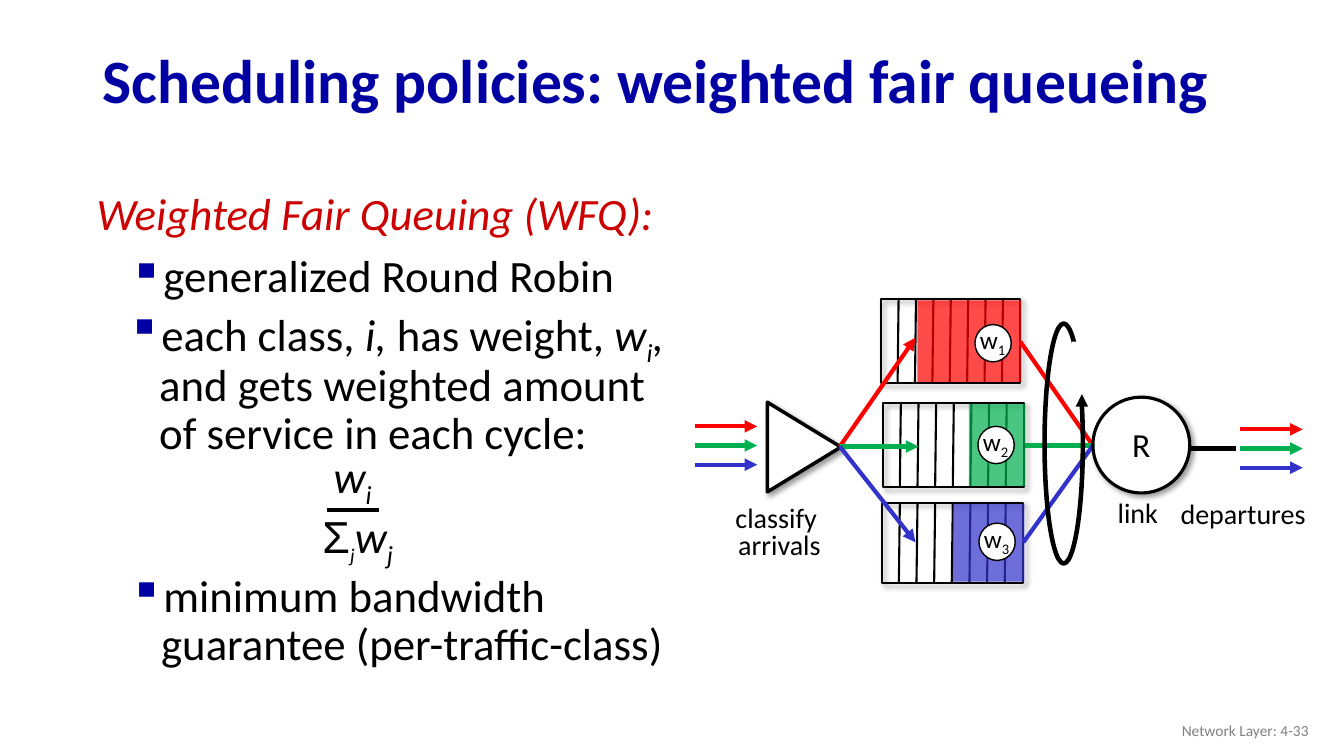
"""Build a slide on weighted fair queueing."""
from dataclasses import dataclass
from typing import NamedTuple

from lxml import etree
from pptx import Presentation, util as u
from pptx.dml.color import RGBColor
from pptx.enum import shapes, text
from pptx.oxml import ns

BLACK = RGBColor(0, 0, 0)
WHITE = RGBColor(255, 255, 255)
GRAY = RGBColor(0x80, 0x80, 0x80)
NAVY = RGBColor(0, 0, 0xA3)
CRIMSON = RGBColor(0xCC, 0, 0)
RED = RGBColor(255, 0, 0)
GREEN = RGBColor(0, 0xB0, 0x50)
BLUE = RGBColor(0x33, 0x33, 0xCC)
HUES = (RED, GREEN, BLUE)
SHAPE = shapes.MSO_SHAPE
ALIGN = text.PP_ALIGN
LEFT, MID, RIGHT = ALIGN.LEFT, ALIGN.CENTER, ALIGN.RIGHT


class Run(NamedTuple):
    text: str
    slant: bool = False
    sub: bool = False
    size: float = 0
    font: str = "Calibri"


class Box(NamedTuple):
    left: float
    top: float
    width: float
    height: float


@dataclass
class Queue:
    box: Box
    start: float
    hue: RGBColor
    badge: tuple[float, float]
    aim: tuple[float, float]
    exit: tuple[float, float]


QUEUES = (
    Queue(Box(8.74, 2.97, 1.38, 0.83), 9.1, RED, (9.67, 3.22), (9.08, 3.35), (10.12, 3.39)),
    Queue(Box(8.76, 4, 1.4, 0.83), 9.61, GREEN, (9.7, 4.23), (9.11, 4.43), (10.17, 4.42)),
    Queue(Box(8.75, 4.99, 1.4, 0.79), 9.45, BLUE, (9.71, 5.19), (9.08, 5.38), (10.15, 5.38)),
)


def dim(inch: float) -> u.Length:
    """Turn inches into a length."""
    return u.Cm(inch * 2.54)


def add(host, tag: str, **attrs: str):
    """Append a drawing element."""
    return etree.SubElement(host, ns.qn("a:" + tag), attrs)


def write(slide, box: Box, *paras, size: float = 32, color=BLACK, align=LEFT, bold=False,
          pitch: float | None = None, wrap=False, middle=False, bullet=False, before: float = 0):
    """Add a text box whose paragraphs are strings or lists of runs."""
    frame = slide.shapes.add_textbox(*map(dim, box)).text_frame
    frame.word_wrap = wrap
    if middle:
        frame.vertical_anchor = text.MSO_ANCHOR.MIDDLE
    for pos, runs in enumerate(paras):
        para = frame.paragraphs[0] if pos == 0 else frame.add_paragraph()
        para.alignment = align
        para.line_spacing = pitch
        para.space_before = u.Pt(before)
        if bullet:
            props = para._p.get_or_add_pPr()
            props.set("marL", str(dim(0.64)))
            props.set("indent", str(dim(-0.31)))
            add(add(props, "buClr"), "srgbClr", val=str(NAVY))
            add(props, "buChar", char="▪")
        for run in [Run(runs)] if isinstance(runs, str) else runs:
            part = para.add_run()
            part.text = run.text
            font = part.font
            font.name, font.size = run.font, u.Pt(run.size or size)
            font.bold, font.italic = bold, run.slant
            font.color.rgb = color
            if run.sub:
                part._r.get_or_add_rPr().set("baseline", "-25000")


def draw(slide, kind, box: Box, fill=None, line=None, width: float = 1,
         alpha: int = 100, shade=False, turn: float = 0) -> None:
    """Add a preset shape."""
    item = slide.shapes.add_shape(kind, *map(dim, box))
    item.rotation = turn
    item.shadow.inherit = False
    if fill is None:
        item.fill.background()
    else:
        item.fill.solid()
        item.fill.fore_color.rgb = fill
    if line is None:
        item.line.fill.background()
    else:
        item.line.color.rgb = line
        item.line.width = u.Pt(width)
    props = item.element.spPr
    if alpha < 100:
        add(props.find(".//" + ns.qn("a:srgbClr")), "alpha", val=str(alpha * 1000))
    if shade:
        glow = add(props.find(ns.qn("a:effectLst")), "outerShdw", blurRad=str(u.Pt(4)),
                   dist=str(u.Pt(3)), dir="2700000", algn="tl", rotWithShape="0")
        add(add(glow, "srgbClr", val=str(BLACK)), "alpha", val="40000")


def link(slide, start: tuple[float, float], end: tuple[float, float],
         color=BLACK, width: float = 3, arrow=False) -> None:
    """Add a straight line or arrow."""
    ends = map(dim, (*start, *end))
    item = slide.shapes.add_connector(shapes.MSO_CONNECTOR.STRAIGHT, *ends)
    item.line.color.rgb = color
    item.line.width = u.Pt(width)
    props = item.element.spPr
    if arrow:
        add(props.find(ns.qn("a:ln")), "tailEnd", type="triangle")
    add(props, "effectLst")


def store(slide, queue: Queue) -> None:
    """Draw a queue with its slots and filled part."""
    left, top, width, height = queue.box
    draw(slide, SHAPE.RECTANGLE, queue.box, line=BLACK, width=1.5, shade=True)
    for slot in range(1, 8):
        spot = left + width * slot / 8
        link(slide, (spot, top), (spot - 0.01, top + height), width=1.5)
    full = Box(queue.start, top + 0.01, left + width + 0.01 - queue.start, height - 0.02)
    draw(slide, SHAPE.RECTANGLE, full, fill=queue.hue, alpha=71)


def prose(slide) -> None:
    """Write the title, points, formula and footer."""
    write(slide, Box(0.92, 0.34, 11.5, 0.98), "Scheduling policies: weighted fair queueing",
          size=44, color=NAVY, bold=True, pitch=0.9, wrap=True, middle=True)
    write(slide, Box(0.86, 1.85, 6.08, 0.65), [Run("Weighted Fair Queuing (WFQ):", True)],
          color=CRIMSON, pitch=0.9, wrap=True, before=10)
    points = (
        (Box(0.86, 2.47, 6.08, 0.6), "generalized Round Robin"),
        (Box(0.84, 3, 6.08, 1.55),
         [Run("each class, "), Run("i, ", True), Run("has weight, "), Run("w", True),
          Run("i", True, True), Run(", ", True),
          Run("and gets weighted amount of service in each cycle:")]),
        (Box(0.86, 5.64, 6.08, 1.15), "minimum bandwidth guarantee (per-traffic-class)"),
    )
    for box, words in points:
        write(slide, box, words, pitch=0.9, wrap=True, bullet=True, before=10)
    write(slide, Box(3.21, 4.4, 0.59, 0.64), [Run("w", True), Run("i", True, True)])
    write(slide, Box(3.1, 5, 0.93, 0.64),
          [Run("Σ", font="Arial"), Run("j", True, True, 24), Run("w", True), Run("j", True, True)])
    link(slide, (3.24, 5.06), (3.76, 5.06))
    write(slide, Box(10.08, 7.05, 3, 0.4), "Network Layer: 4-33",
          size=11, color=GRAY, align=RIGHT, wrap=True, middle=True)


def scene(slide) -> None:
    """Draw the queueing diagram."""
    link(slide, (11.76, 4.45), (12.26, 4.45))
    for queue in QUEUES:
        store(slide, queue)
    draw(slide, SHAPE.ISOSCELES_TRIANGLE, Box(7.53, 4.07, 0.89, 0.73), WHITE, BLACK, 2.5,
         shade=True, turn=90)
    for left, top in ((6.89, 4.23), (12.3, 4.26)):
        for row, hue in enumerate(HUES):
            high = top + 0.19 * row
            link(slide, (left, high), (left + 0.62, high), hue, arrow=True)
    for queue in QUEUES:
        link(slide, (8.33, 4.43), queue.aim, queue.hue, arrow=True)
        link(slide, queue.exit, (10.84, 4.42), queue.hue)
    draw(slide, SHAPE.OVAL, Box(10.84, 3.94, 0.96, 0.95), WHITE, BLACK, 2.25, shade=True)
    labels = (
        (Box(7.19, 4.98, 1.08, 0.65), 20, ("classify ", "arrivals")),
        (Box(11.6, 4.94, 1.46, 0.38), 20, ("departures",)),
        (Box(10.98, 4.93, 0.61, 0.38), 20, ("link",)),
        (Box(11.13, 4.23, 0.38, 0.43), 24, ("R",)),
    )
    for box, size, words in labels:
        write(slide, box, *words, size=size, align=MID, pitch=0.8)
    draw(slide, SHAPE.OVAL, Box(10.36, 3.21, 0.38, 2.38), line=BLACK, width=3.25)
    draw(slide, SHAPE.RECTANGLE, Box(10.63, 3.39, 0.21, 0.64), WHITE)
    link(slide, (10.73, 4.19), (10.73, 3.91), arrow=True)
    for rank, queue in enumerate(QUEUES, 1):
        left, top = queue.badge
        draw(slide, SHAPE.OVAL, Box(left, top, 0.36, 0.37), WHITE, BLACK)
        write(slide, Box(left - 0.05, top - 0.05, 0.47, 0.4),
              [Run("w"), Run(str(rank), sub=True)], size=18)


def main() -> None:
    """Make and save the deck."""
    deck = Presentation()
    deck.slide_width, deck.slide_height = dim(13.33), dim(7.5)
    slide = deck.slides.add_slide(deck.slide_layouts[6])
    prose(slide)
    scene(slide)
    deck.save("out.pptx")


if __name__ == "__main__":
    main()
